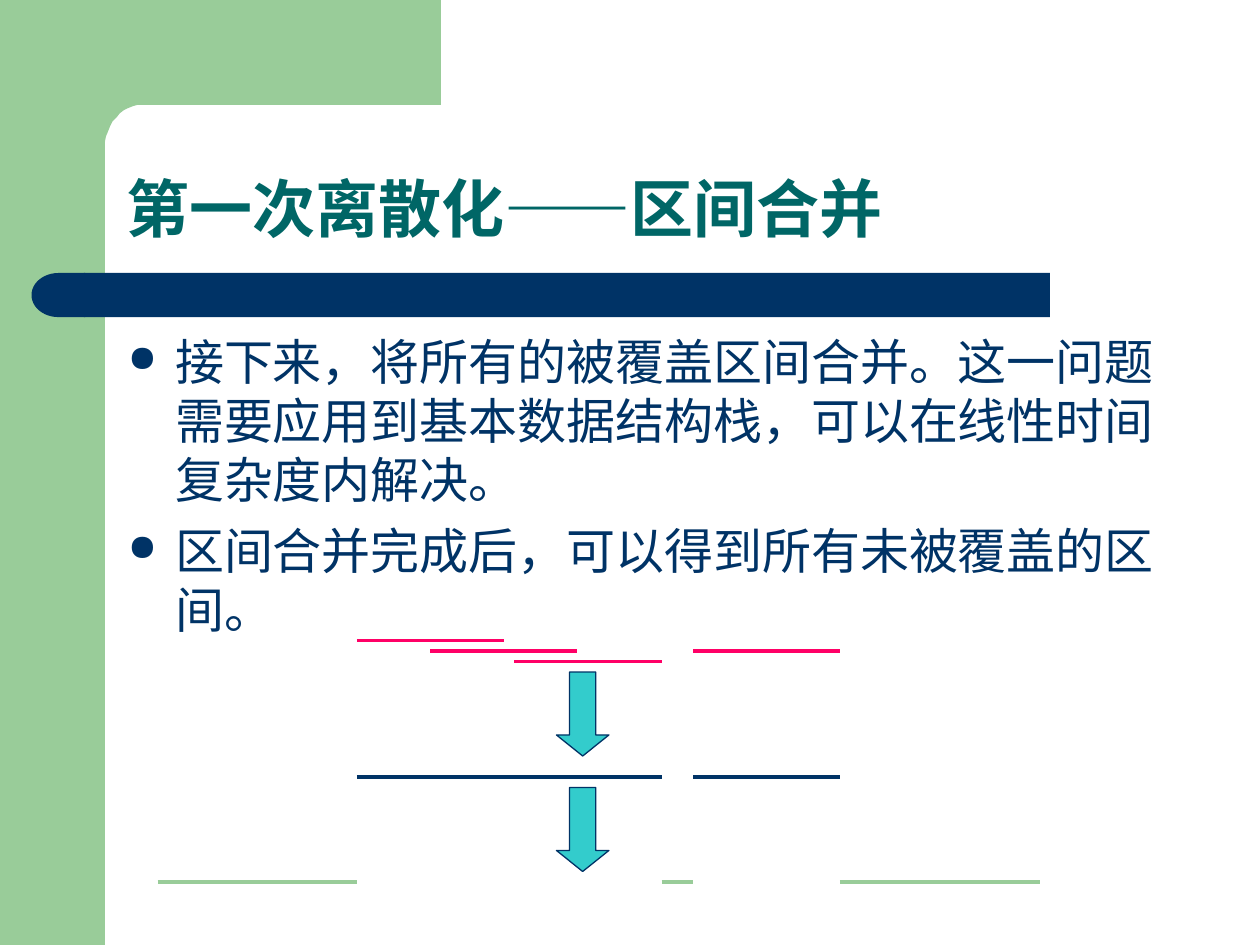
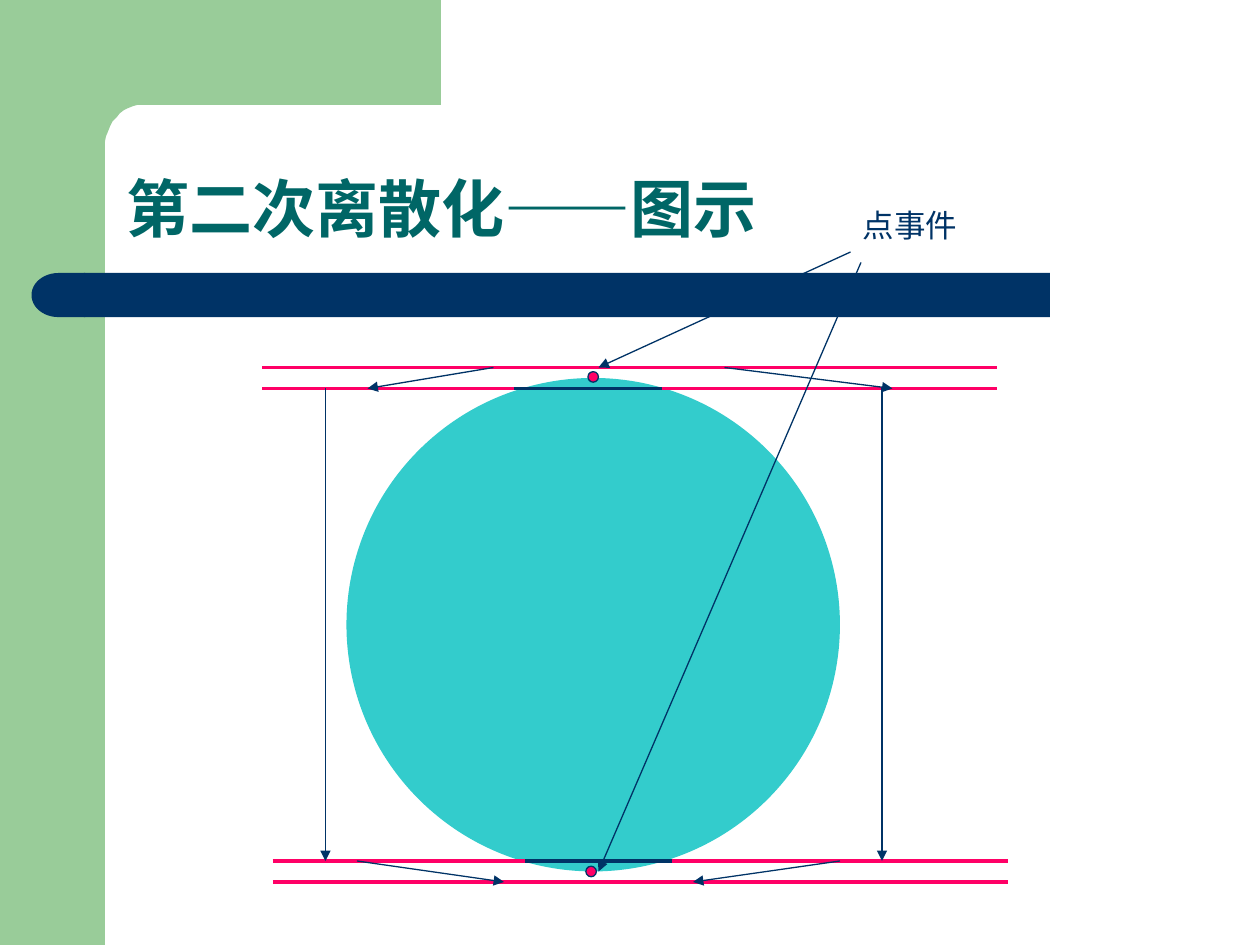
from math import cos, pi, sin

from lxml.etree import SubElement
from pptx import Presentation
from pptx.dml.color import RGBColor
from pptx.enum.shapes import MSO_CONNECTOR, MSO_SHAPE
from pptx.enum.text import MSO_ANCHOR
from pptx.oxml.ns import qn
from pptx.util import Pt

PX = 7620  # EMU in one px, 120 px to the inch
WIDE, HIGH = 1200, 900
FONT = "Arial"
HUES = {
    "green": "99CC99",
    "navy": "003366",
    "title": "006666",
    "pink": "FF0066",
    "teal": "33CCCC",
}


def hue(name):
    return RGBColor.from_string(HUES[name])


def paint(shape, fill, line=None):
    shape.shadow.inherit = False
    shape.fill.solid()
    shape.fill.fore_color.rgb = hue(fill)
    if line:
        shape.line.color.rgb = hue(line)
        shape.line.width = Pt(0.75)
    else:
        shape.line.fill.background()


def add_part(slide, kind, box, fill, line=None):
    part = slide.shapes.add_shape(kind, *(v * PX for v in box))
    paint(part, fill, line)
    return part


def add_line(slide, start, end, color, width=2.25, arrow=False):
    ends = [v * PX for v in (*start, *end)]
    line = slide.shapes.add_connector(MSO_CONNECTOR.STRAIGHT, *ends)
    line.line.color.rgb = hue(color)
    line.line.width = Pt(width)
    if arrow:
        SubElement(line.line._get_or_add_ln(), qn("a:tailEnd"), type="triangle")
    SubElement(line._element.spPr, qn("a:effectLst"))


def add_text(slide, box, texts, size, color, bold=False, bullet=False):
    frame = slide.shapes.add_textbox(*(v * PX for v in box)).text_frame
    frame.word_wrap = True
    for i, text in enumerate(texts):
        para = frame.paragraphs[0] if i == 0 else frame.add_paragraph()
        para.text = text
        if i:
            para.space_before = Pt(7)
        if bullet:
            props = para._p.get_or_add_pPr()
            props.set("marL", str(45 * PX))
            props.set("indent", str(-45 * PX))
            tint = SubElement(props, qn("a:buClr"))
            SubElement(tint, qn("a:srgbClr"), val=HUES[color])
            SubElement(props, qn("a:buSzPct"), val="75000")
            SubElement(props, qn("a:buChar"), char="●")
        para.font.name = FONT
        para.font.size = Pt(size)
        para.font.bold = bold
        para.font.color.rgb = hue(color)
    return frame


def add_frame(slide, title):
    # Green side band and its rounded inner corner
    add_part(slide, MSO_SHAPE.RECTANGLE, (0, 0, 100, HIGH), "green")
    steps = 12
    turns = [pi / 2 * i / steps for i in range(steps + 1)]
    curve = [(136 - 36 * sin(t), 140 - 40 * cos(t)) for t in turns]
    pen = slide.shapes.build_freeform(420, 0, scale=PX)
    pen.add_line_segments([(420, 100), *curve, (100, 154), (60, 154), (60, 0)])
    paint(pen.convert_to_shape(), "green")
    # Navy bar with a round left end
    add_part(slide, MSO_SHAPE.RECTANGLE, (80, 260, 920, 42), "navy")
    cap = add_part(slide, MSO_SHAPE.FLOWCHART_DELAY, (30, 260, 51, 42), "navy")
    cap.rotation = 180
    # Title
    frame = add_text(slide, (109, 109, 1021, 131), [title], 36, "title", bold=True)
    frame.vertical_anchor = MSO_ANCHOR.BOTTOM
    frame.paragraphs[0].line_spacing = 0.9


def draw_merge(slide, box):
    left, top, width, height = box
    span, merged = 140, 130

    def draw(start, end, row, color):
        add_line(slide, (left + start, top + row), (left + end, top + row), color)

    # Covered spans, their union, and the gaps between them
    edge = 0
    for start, row in ((190, 0), (260, 10), (340, 20), (510, 10)):
        draw(start, start + span, row, "pink")
        draw(start, start + span, merged, "navy")
        if start > edge:
            draw(edge, start, height, "green")
        edge = start + span
    draw(edge, width, height, "green")
    # Arrows from one stage to the next
    for row in (30, 140):
        place = (left + 380, top + row, 50, 80)
        arrow = add_part(slide, MSO_SHAPE.DOWN_ARROW, place, "teal", "navy")
        arrow.adjustments[0] = 0.5
        arrow.adjustments[1] = 0.4


def draw_events(slide, box):
    left, top, width, height = box

    def at(x, y):
        return left + x, top + y

    def level(start, end, row, color):
        add_line(slide, at(start, row), at(end, row), color)

    def dot(x, y):
        add_part(slide, MSO_SHAPE.OVAL, (*at(x, y), 10, 10), "pink", "navy")

    # Circle with its top and bottom points
    add_part(slide, MSO_SHAPE.OVAL, (*at(80, 170), 470, 470), "teal")
    dot(310, 164)
    # Sweep lines: one clear of the circle, one cut by it, at each end
    for start, clear, cut in ((0, 160, 180), (10, height, 630)):
        end = start + 700
        level(start, end, clear, "pink")
        level(start, end, cut, "navy")
        level(start, start + 240, cut, "pink")
        level(start + 380, end, cut, "pink")
    dot(308, 635)
    # Arrows between sweep lines, and from the label to the points
    for start, end in (
        ((220, 160), (100, 180)),
        ((440, 160), (600, 180)),
        ((60, 180), (60, 630)),
        ((590, 180), (590, 630)),
        ((90, 630), (230, 650)),
        ((550, 630), (410, 650)),
        ((560, 50), (320, 160)),
        ((570, 60), (320, 640)),
    ):
        add_line(slide, at(*start), at(*end), "navy", 0.75, arrow=True)
    add_text(slide, (*at(560, 0), 180, 48), ["点事件"], 18, "navy")


def main():
    deck = Presentation()
    deck.slide_width = WIDE * PX
    deck.slide_height = HIGH * PX
    blank = deck.slide_layouts[6]

    # Merging of the covered spans
    slide = deck.slides.add_slide(blank)
    add_frame(slide, "第一次离散化——区间合并")
    points = [
        "接下来，将所有的被覆盖区间合并。这一问题需要应用到基本数据结构栈，可以在线性时间复杂度内解决。",
        "区间合并完成后，可以得到所有未被覆盖的区间。",
    ]
    add_text(slide, (110, 310, 1010, 488), points, 28, "navy", bullet=True)
    draw_merge(slide, (150, 610, 840, 230))

    # Point events on a circle
    slide = deck.slides.add_slide(blank)
    add_frame(slide, "第二次离散化——图示")
    draw_events(slide, (250, 190, 740, 650))

    deck.save("out.pptx")


if __name__ == "__main__":
    main()
